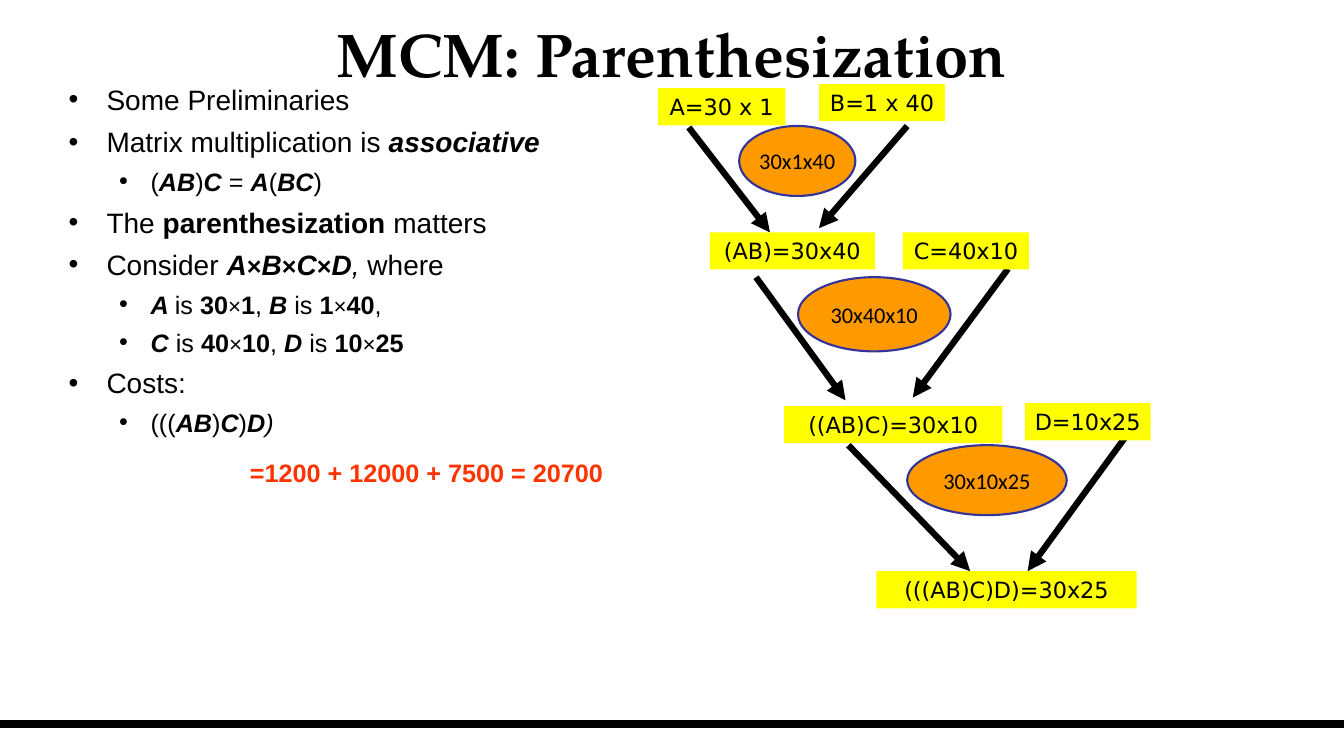
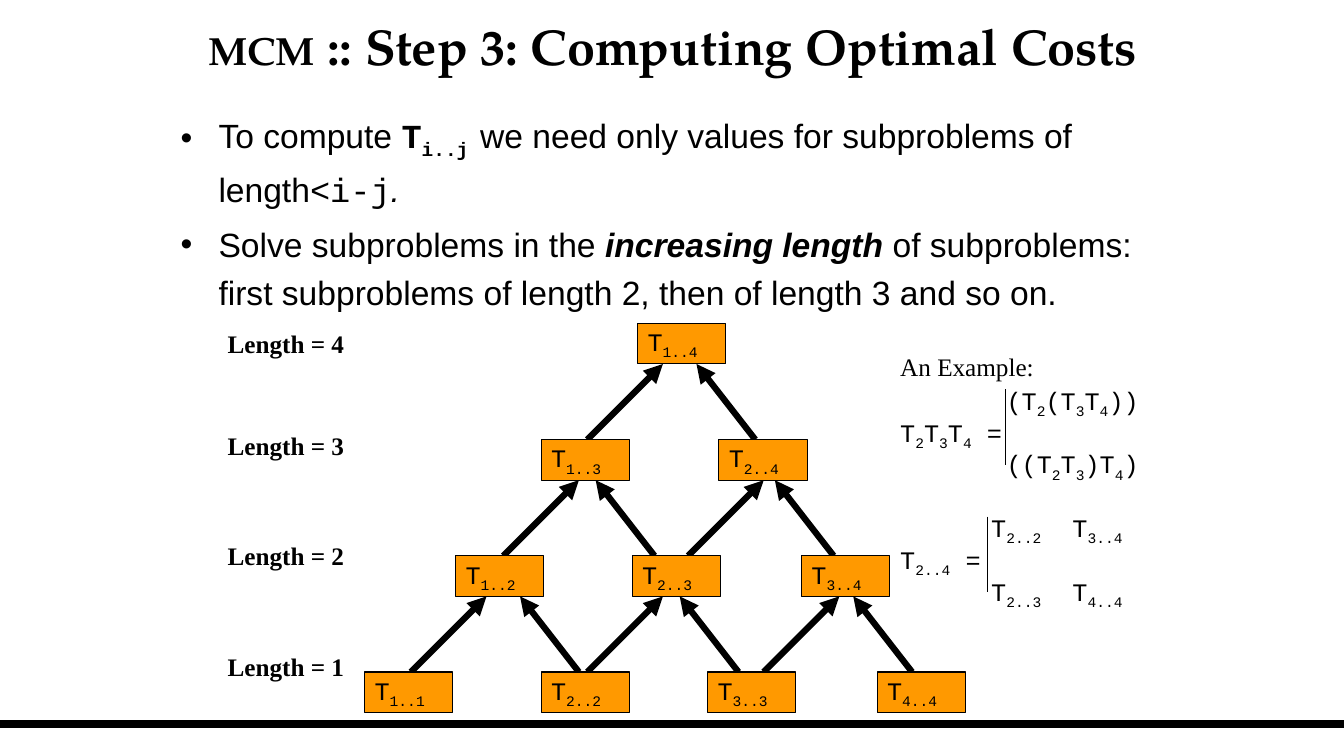
from itertools import groupby

from lxml import etree
from pptx import Presentation
from pptx.dml.color import RGBColor
from pptx.enum import shapes, text
from pptx.oxml import ns
from pptx.util import Pt

WIDTH, HEIGHT = 960, 540
COLORS = {
    "ink": "000000",
    "label": "FFFF00",
    "node": "FF9900",
    "outline": "333399",
    "cost": "FF3300",
}
TITLE_FONT, BODY_FONT, MONO_FONT = "TeX Gyre Pagella", "Arial", "Courier New"
SERIF_FONT, LABEL_FONT, OVAL_FONT = "Times New Roman", "DejaVu Sans", "Calibri"
RECT, OVAL = shapes.MSO_SHAPE.RECTANGLE, shapes.MSO_SHAPE.OVAL
CENTER = text.PP_ALIGN.CENTER
MIDDLE, TOP = text.MSO_ANCHOR.MIDDLE, text.MSO_ANCHOR.TOP

# Each mark switches a style on or off within a line of text
MARKS = {"*": "bold", "/": "italic", "_": "sub", "`": "mono"}


def color(name):
    return RGBColor.from_string(COLORS[name])


def add_runs(para, markup, size, font, ink="ink"):
    styles, styled = frozenset(), []
    for char in markup:
        if char in MARKS:
            styles = styles ^ {MARKS[char]}
        elif char == "×":
            # Multiplication signs are upright and one step smaller
            styled.append(((styles | {"small"}) - {"italic"}, char))
        else:
            styled.append((styles, char))
    for style, group in groupby(styled, key=lambda pair: pair[0]):
        span = para.add_run()
        span.text = "".join(char for _, char in group)
        span.font.name = MONO_FONT if "mono" in style else font
        span.font.size = Pt(size - 2 if "small" in style else size)
        span.font.bold = "bold" in style
        span.font.italic = "italic" in style
        span.font.color.rgb = color(ink)
        if "sub" in style:
            span.font._rPr.set("baseline", "-25000")


def prepare_frame(shape, anchor, wrap=True, inset=(7.2, 3.6)):
    frame = shape.text_frame
    frame.word_wrap = wrap
    frame.vertical_anchor = anchor
    frame.margin_left = frame.margin_right = Pt(inset[0])
    frame.margin_top = frame.margin_bottom = Pt(inset[1])
    return frame


def add_text(page, box, markup, size, font, ink="ink", align=None,
             anchor=TOP, inset=(7.2, 3.6), wrap=True):
    shape = page.shapes.add_textbox(*map(Pt, box))
    para = prepare_frame(shape, anchor, wrap, inset).paragraphs[0]
    para.alignment = align
    add_runs(para, markup, size, font, ink)


def add_panel(page, kind, box, fill, markup, size, font,
              outline=None, weight=0.75, align=CENTER, wrap=True):
    shape = page.shapes.add_shape(kind, *map(Pt, box))
    shape.shadow.inherit = False
    shape.fill.solid()
    shape.fill.fore_color.rgb = color(fill)
    if outline:
        shape.line.color.rgb = color(outline)
        shape.line.width = Pt(weight)
    else:
        shape.line.fill.background()
    para = prepare_frame(shape, MIDDLE, wrap).paragraphs[0]
    para.alignment = align
    add_runs(para, markup, size, font)


def add_line(page, start, end, weight, arrow=False):
    line = page.shapes.add_connector(
        shapes.MSO_CONNECTOR.STRAIGHT, *map(Pt, (*start, *end)))
    line.line.color.rgb = color("ink")
    line.line.width = Pt(weight)
    if arrow:
        tail = etree.SubElement(line.line._get_or_add_ln(), ns.qn("a:tailEnd"))
        tail.set("type", "triangle")
    etree.SubElement(line._element.spPr, ns.qn("a:effectLst"))


def add_bullets(page, box, items, sizes, line_spacing, gap):
    """Write (level, markup) items; gap is a share of the text size."""
    frame = prepare_frame(page.shapes.add_textbox(*map(Pt, box)), TOP)
    indents = [(27, -27), (58.5, -22.5)]
    for index, (level, markup) in enumerate(items):
        para = frame.add_paragraph() if index else frame.paragraphs[0]
        para.line_spacing = line_spacing
        para.space_before = Pt(sizes[level] * gap if index else 0)
        props = para._p.get_or_add_pPr()
        margin, hanging = indents[level]
        props.set("marL", str(Pt(margin)))
        props.set("indent", str(Pt(hanging)))
        etree.SubElement(props, ns.qn("a:buFont")).set("typeface", BODY_FONT)
        etree.SubElement(props, ns.qn("a:buChar")).set("char", "•")
        add_runs(para, markup, sizes[level], BODY_FONT)


def new_page(deck, title_box, title_parts):
    page = deck.slides.add_slide(deck.slide_layouts[6])
    # Bottom rule
    add_line(page, (0, 517), (WIDTH, 517), 6)
    # Title
    shape = page.shapes.add_textbox(*map(Pt, title_box))
    para = prepare_frame(shape, MIDDLE).paragraphs[0]
    para.alignment = CENTER
    for markup, size in title_parts:
        add_runs(para, f"*{markup}*", size, TITLE_FONT)
    return page


def merge_diagram(page, left, top):
    arrows = [
        (22, 31, 80, 106), (178, 30, 115, 103),
        (70, 138, 134, 226), (250, 132, 182, 224),
        (136, 258, 223, 348), (334, 252, 264, 348),
    ]
    ovals = [
        ("30x1x40", 58, 30, 83, 50),
        ("30x40x10", 100, 138, 109, 53),
        ("30x10x25", 178, 258, 114, 50),
    ]
    labels = [
        ("A=30 x 1", 0, 3, 91), ("B=1 x 40", 115, 0, 90),
        ("(AB)=30x40", 37, 106, 118), ("C=40x10", 175, 106, 90),
        ("((AB)C)=30x10", 90, 230, 156), ("D=10x25", 262, 228, 90),
        ("(((AB)C)D)=30x25", 156, 348, 186),
    ]
    for x1, y1, x2, y2 in arrows:
        add_line(page, (left + x1, top + y1), (left + x2, top + y2), 4.5, True)
    for caption, x, y, width, height in ovals:
        add_panel(page, OVAL, (left + x, top + y, width, height), "node",
                  caption, 16, OVAL_FONT, "outline", 1.5, wrap=False)
    for caption, x, y, width in labels:
        add_panel(page, RECT, (left + x, top + y, width, 26.5), "label",
                  caption, 16, LABEL_FONT)


def cost_pyramid(page, left, top):
    """Draw rows from length 1 up, with arrows to the row above."""
    pitch, node_width, node_height = 83, 63, 29
    # Per node: indices, left edge, start of right and of left arrow
    rows = [
        [("1..1", 0, 33, None), ("2..2", 126, 159, 153),
         ("3..3", 245, 285, 267), ("4..4", 366, None, 391)],
        [("1..2", 65, 99, None), ("2..3", 191, 231, 207),
         ("3..4", 312, None, 335)],
        [("1..3", 126, 159, None), ("2..4", 253, None, 279)],
        [("1..4", 195, None, None)],
    ]
    for level, row in enumerate(rows):
        y = top + (len(rows) - 1 - level) * pitch
        for indices, x, rise_right, rise_left in row:
            for start, shift in ((rise_right, 54), (rise_left, -42)):
                if start is not None:
                    foot = left + start
                    add_line(page, (foot, y),
                             (foot + shift, y - pitch + node_height), 4.5, True)
            add_panel(page, RECT, (left + x, y, node_width, node_height),
                      "node", f"T_{indices}_", 18, MONO_FONT, "ink", align=None)


def length_labels(page, left, top):
    frame = prepare_frame(
        page.shapes.add_textbox(*map(Pt, (left, top, 114, 271))), TOP)
    for index, (length, gap) in enumerate(((4, 0), (3, 51), (2, 57.5), (1, 57.5))):
        para = frame.add_paragraph() if index else frame.paragraphs[0]
        para.space_before = Pt(gap)
        add_runs(para, f"*Length = {length}*", 18, SERIF_FONT)


def split_example(page, left, top):
    row_height = 22.8

    def write(x, y, markup, font=MONO_FONT):
        add_text(page, (left + x, top + y, 110, row_height), markup, 18, font,
                 inset=(0, 0), wrap=False)

    write(0, 0, "An Example:", SERIF_FONT)
    # Per equation: top, left side, bar position, choices in rows 0 and 2
    equations = [
        (24, "T_2_T_3_T_4_ =", 75.5,
         [(76, 0, "(T_2_(T_3_T_4_))"), (76, 2, "((T_2_T_3_)T_4_)")]),
        (115, "T_2..4_ =", 62.5,
         [(65, 0, "T_2..2_"), (123, 0, "T_3..4_"),
          (65, 2, "T_2..3_"), (123, 2, "T_4..4_")]),
    ]
    for y, left_side, bar, choices in equations:
        write(0, y + row_height, left_side)
        for x, row, choice in choices:
            write(x, y + row * row_height, choice)
        add_line(page, (left + bar, top + y + 3),
                 (left + bar, top + y + 57), 0.75)


def parenthesization_page(deck):
    page = new_page(deck, (5, 5, 950, 66), [("MCM: Parenthesization", 44)])
    items = [
        (0, "Some Preliminaries"),
        (0, "Matrix multiplication is */associative/*"),
        (1, "(*/AB/*)*/C/* = */A/*(*/BC/*)"),
        (0, "The *parenthesization* matters"),
        (0, "Consider */A×B×C×D*, /where"),
        (1, "*/A /*is *30*×*1*, */B /*is *1*×*40*,"),
        (1, "*/C /*is *40*×*10*, */D /*is *10*×*25*"),
        (0, "Costs:"),
        (1, "(((*/AB/*)*/C/*)*/D*)/"),
    ]
    add_bullets(page, (42, 60, 354, 444), items, (20, 18), 0.8, 0.55)
    merge_diagram(page, 470, 60)
    # Total cost
    add_text(page, (171.5, 323, 285, 29), "*=1200 + 12000 + 7500 = 20700*",
             18, BODY_FONT, "cost", wrap=False)


def optimal_costs_page(deck):
    page = new_page(deck, (124, 5, 713, 55),
                    [("MCM", 28), (" :: Step 3: Computing Optimal Costs", 36)])
    items = [
        (0, "To compute *`T_i..j _`*we need only values for subproblems of "
            "length`<i-j`/./"),
        (0, "Solve subproblems in the */increasing length/* of subproblems: "
            "first subproblems of length 2, then of length 3 and so on."),
    ]
    add_bullets(page, (122, 72, 715, 160), items, (24,), 1.2, 0.2)
    cost_pyramid(page, 260.5, 231)
    length_labels(page, 155.5, 231)
    split_example(page, 643, 251)


def main():
    deck = Presentation()
    deck.slide_width, deck.slide_height = Pt(WIDTH), Pt(HEIGHT)
    parenthesization_page(deck)
    optimal_costs_page(deck)
    deck.save("out.pptx")


if __name__ == "__main__":
    main()
